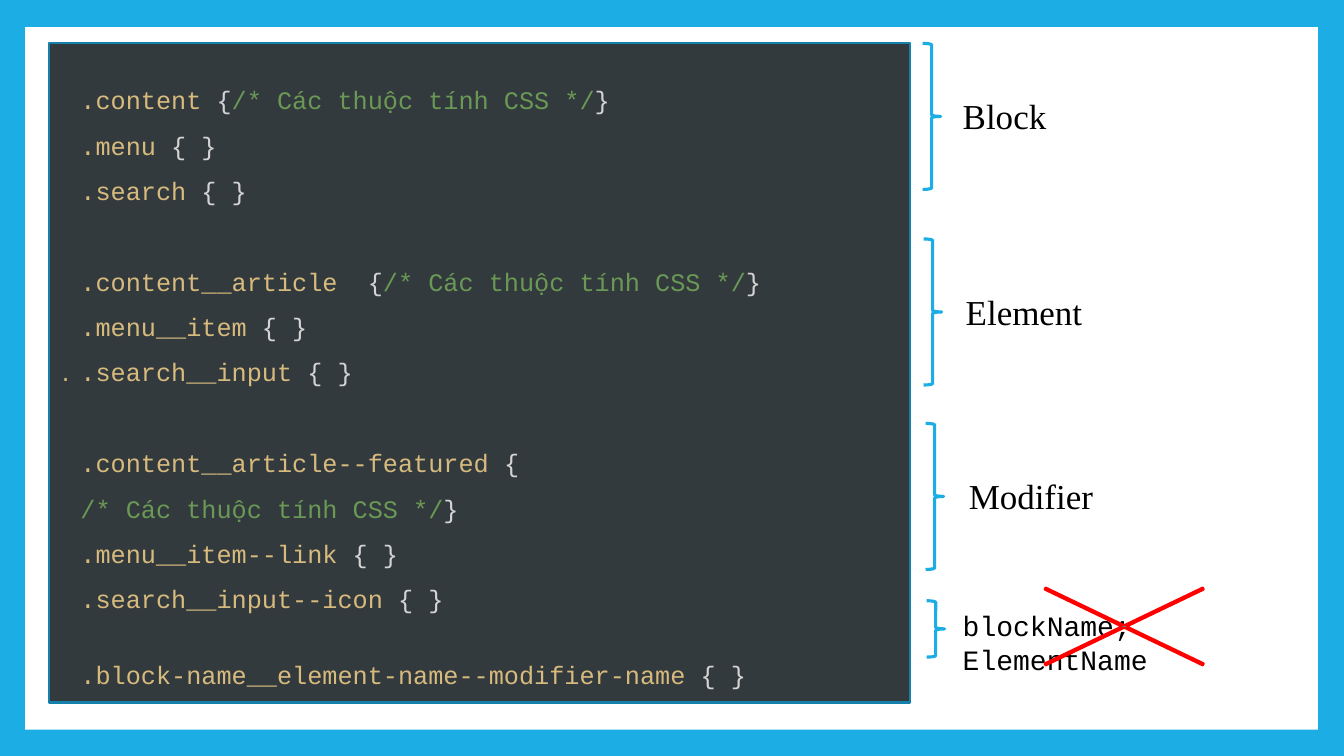
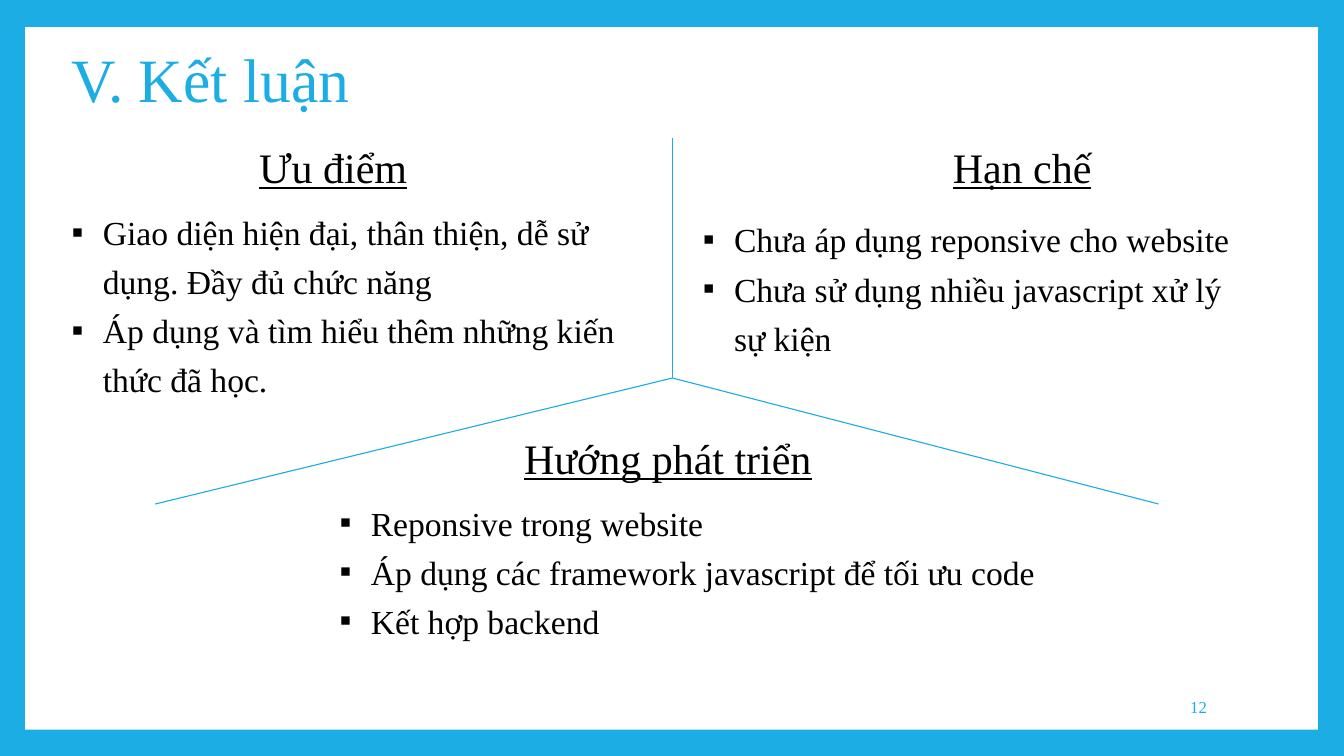
from dataclasses import dataclass

from lxml import etree
from pptx import Presentation
from pptx.dml.color import RGBColor
from pptx.enum.shapes import MSO_CONNECTOR, MSO_SHAPE
from pptx.enum.text import MSO_ANCHOR, MSO_AUTO_SIZE, PP_ALIGN
from pptx.oxml.ns import qn
from pptx.util import Inches, Pt

# Colours and fonts
BLUE = RGBColor(0x1C, 0xAD, 0xE4)
DARK_BLUE = RGBColor(0x15, 0x80, 0xA9)
WHITE = RGBColor(0xFF, 0xFF, 0xFF)
BLACK = RGBColor(0x00, 0x00, 0x00)
RED = RGBColor(0xFF, 0x00, 0x00)
EDITOR = RGBColor(0x33, 0x3A, 0x3E)
SELECTOR = RGBColor(0xD7, 0xBA, 0x7D)
PUNCTUATION = RGBColor(0xD4, 0xD4, 0xD4)
COMMENT = RGBColor(0x6A, 0x99, 0x55)
SERIF = "Times New Roman"
MONO = "Courier New"

COMMENT_TEXT = "/*\u00a0Các\u00a0thuộc\u00a0tính\u00a0CSS\u00a0*/"
BULLET = "▪"
BULLET_INDENT = Inches(0.31)
FRAME_FORMAT = {"word_wrap": True, "auto_size": MSO_AUTO_SIZE.NONE,
                "vertical_anchor": MSO_ANCHOR.TOP}
LIST_FORMAT = {"line_spacing": Pt(35), "space_before": Pt(0)}


@dataclass(frozen=True)
class Box:
    left: float
    top: float
    width: float
    height: float

    def lengths(self) -> tuple:
        return tuple(Inches(v) for v in (self.left, self.top, self.width, self.height))


@dataclass(frozen=True)
class Style:
    size: float
    color: RGBColor = BLACK
    name: str = SERIF
    underline: bool = False
    bold: bool = False


@dataclass(frozen=True)
class Span:
    text: str
    color: RGBColor


@dataclass(frozen=True)
class CodeLine:
    spans: tuple
    gap: float = 0
    spacing: float = 1.5


@dataclass(frozen=True)
class BracedPart:
    brace: Box
    label: str
    label_box: Box
    style: Style


@dataclass(frozen=True)
class Topic:
    heading: str
    heading_box: Box
    items: tuple
    items_box: Box
    placeholders: tuple = ()


TITLE = Style(44, BLUE)
HEADING = Style(30, underline=True)
LIST_ITEM = Style(24)
PART = Style(25)
PAGE_NUMBER = Style(12, BLUE)


def apply(target, values: dict) -> None:
    for attribute, value in values.items():
        setattr(target, attribute, value)


def write_run(paragraph, text: str, style: Style) -> None:
    run = paragraph.add_run()
    run.text = text
    apply(run.font, {"size": Pt(style.size), "name": style.name,
                     "underline": style.underline, "bold": style.bold})
    run.font.color.rgb = style.color


def place(slide, box: Box, placeholder=None):
    """Return the text frame of a moved placeholder or a new text box."""
    if placeholder is None:
        holder = slide.shapes.add_textbox(*box.lengths())
    else:
        holder = placeholder
        apply(holder, dict(zip(("left", "top", "width", "height"), box.lengths())))
    apply(holder.text_frame, FRAME_FORMAT)
    return holder.text_frame


def add_paragraph(frame, first: bool, align=PP_ALIGN.LEFT):
    paragraph = frame.paragraphs[0] if first else frame.add_paragraph()
    paragraph.alignment = align
    return paragraph


def write_text(slide, box: Box, text: str, style: Style, placeholder=None,
               align=PP_ALIGN.LEFT):
    frame = place(slide, box, placeholder)
    paragraph = add_paragraph(frame, True, align)
    paragraph.space_before = Pt(0)
    write_run(paragraph, text, style)
    return frame


def write_list(slide, box: Box, items: tuple, placeholder=None) -> None:
    frame = place(slide, box, placeholder)
    for number, item in enumerate(items):
        paragraph = add_paragraph(frame, number == 0)
        apply(paragraph, LIST_FORMAT)
        write_run(paragraph, item, LIST_ITEM)
        properties = paragraph._p.get_or_add_pPr()
        properties.set("marL", str(BULLET_INDENT))
        properties.set("indent", str(-BULLET_INDENT))
        etree.SubElement(properties, qn("a:buFont")).set("typeface", SERIF)
        etree.SubElement(properties, qn("a:buChar")).set("char", BULLET)


def draw_shape(slide, preset, box: Box, fill=None, line=None, weight: float = 1.5):
    shape = slide.shapes.add_shape(preset, *box.lengths())
    shape.shadow.inherit = False
    if fill is None:
        shape.fill.background()
    else:
        shape.fill.solid()
        shape.fill.fore_color.rgb = fill
    if line is None:
        shape.line.fill.background()
    else:
        shape.line.color.rgb = line
        shape.line.width = Pt(weight)
    return shape


def draw_line(slide, start: tuple, end: tuple) -> None:
    ends = [Inches(v) for v in (*start, *end)]
    line = slide.shapes.add_connector(MSO_CONNECTOR.STRAIGHT, *ends)
    line.line.color.rgb = BLUE
    line.line.width = Pt(0.79)
    etree.SubElement(line.element.spPr, qn("a:effectLst"))


def rule(selector: str, comment: str = "", space: str = "\u00a0") -> tuple:
    """Colour one CSS rule: selector, braces and an optional comment."""
    name = Span(selector, SELECTOR)
    if not comment:
        return name, Span(space + "{ }", PUNCTUATION)
    return (name, Span(space + "{", PUNCTUATION), Span(comment, COMMENT),
            Span("}", PUNCTUATION))


GROUP_GAP = 32.4
CODE = (
    CodeLine(rule(".content", COMMENT_TEXT)),
    CodeLine(rule(".menu")),
    CodeLine(rule(".search")),
    CodeLine(rule(".content__article", COMMENT_TEXT, "\u00a0 "), GROUP_GAP),
    CodeLine(rule(".menu__item")),
    CodeLine(rule(".search__input")),
    CodeLine((Span(".content__article--featured", SELECTOR),
              Span("\u00a0{", PUNCTUATION)), GROUP_GAP),
    CodeLine((Span(COMMENT_TEXT, COMMENT), Span("}", PUNCTUATION))),
    CodeLine(rule(".menu__item--link")),
    CodeLine(rule(".search__input--icon")),
    CodeLine(rule(".block-name__element-name--modifier-name"), GROUP_GAP, 1.0),
)

PARTS = (
    BracedPart(Box(9.15, 0.43, 0.18, 1.45), "Block", Box(9.45, 0.89, 1.22, 0.52), PART),
    BracedPart(Box(9.16, 2.37, 0.18, 1.45), "Element", Box(9.48, 2.83, 1.51, 0.52), PART),
    BracedPart(Box(9.18, 4.2, 0.18, 1.45), "Modifier", Box(9.51, 4.66, 1.51, 0.52), PART),
    BracedPart(Box(9.19, 5.96, 0.18, 0.56), "blockName; ElementName",
               Box(9.45, 5.99, 3.67, 0.44), Style(20, name=MONO)),
)

TOPICS = (
    Topic("Ưu điểm", Box(2.47, 1.35, 1.7, 0.61),
          ("Giao diện hiện đại, thân thiện, dễ sử dụng. Đầy đủ chức năng",
           "Áp dụng và tìm hiểu thêm những kiến thức đã học."),
          Box(0.61, 1.97, 6.06, 2.02), (1, 2)),
    Topic("Hạn chế", Box(9.35, 1.35, 1.7, 0.61),
          ("Chưa áp dụng reponsive cho website",
           "Chưa sử dụng nhiều javascript xử lý sự kiện"),
          Box(6.87, 2.04, 5.72, 1.53), (3, 4)),
    Topic("Hướng phát triển", Box(5.1, 4.24, 3.12, 0.61),
          ("Reponsive trong website",
           "Áp dụng các framework javascript để tối ưu code",
           "Kết hợp backend"),
          Box(3.27, 4.85, 7.2, 1.53)),
)


def set_master(prs, slide) -> None:
    """Give the master its blue frame and white panel."""
    master = prs.slide_master
    master.background.fill.solid()
    master.background.fill.fore_color.rgb = BLUE
    panel = draw_shape(slide, MSO_SHAPE.RECTANGLE, Box(0.25, 0.27, 12.82, 6.97), WHITE)
    panel.element.nvSpPr.cNvPr.set("id", "99")
    master.shapes.element.insert(2, panel.element)


def build_naming(slide) -> None:
    # Code editor
    editor = draw_shape(slide, MSO_SHAPE.RECTANGLE, Box(0.49, 0.43, 8.54, 6.54),
                        EDITOR, DARK_BLUE)
    write_run(add_paragraph(editor.text_frame, True), ".", Style(15, SELECTOR, MONO))
    code = place(slide, Box(0.7, 0.64, 8.33, 5.86))
    for number, line in enumerate(CODE):
        paragraph = add_paragraph(code, number == 0)
        apply(paragraph, {"line_spacing": line.spacing, "space_before": Pt(line.gap)})
        for span in line.spans:
            write_run(paragraph, span.text, Style(18, span.color, MONO))

    # Braces and their labels
    for part in PARTS:
        draw_shape(slide, MSO_SHAPE.RIGHT_BRACE, part.brace, line=BLUE, weight=2.25)
        write_text(slide, part.label_box, part.label, part.style)

    # Cross over the wrong names
    cross = draw_shape(slide, MSO_SHAPE.MATH_MULTIPLY, Box(9.64, 5.49, 3.02, 1.45),
                       BLUE, RED)
    cross.adjustments[0] = 0.015


def build_conclusion(slide) -> None:
    write_text(slide, Box(0.61, 0.36, 4.65, 0.84), "V. Kết luận", TITLE,
               slide.shapes.title)

    # Three topics
    for topic in TOPICS:
        heading, items = (slide.placeholders[i] for i in topic.placeholders) \
            if topic.placeholders else (None, None)
        write_text(slide, topic.heading_box, topic.heading, HEADING, heading)
        write_list(slide, topic.items_box, topic.items, items)

    # Dividers meeting in the centre
    centre = (6.67, 3.75)
    for end in ((6.67, 1.37), (11.49, 5), (1.54, 5)):
        draw_line(slide, centre, end)

    # Page number
    page = write_text(slide, Box(10.2, 6.81, 1.87, 0.4), "12", PAGE_NUMBER,
                      align=PP_ALIGN.RIGHT)
    page.vertical_anchor = MSO_ANCHOR.MIDDLE


def main() -> None:
    prs = Presentation()
    prs.slide_width, prs.slide_height = Inches(13.33), Inches(7.5)
    naming = prs.slides.add_slide(prs.slide_layouts.get_by_name("Blank"))
    set_master(prs, naming)
    build_naming(naming)
    build_conclusion(prs.slides.add_slide(prs.slide_layouts.get_by_name("Comparison")))
    prs.save("out.pptx")


if __name__ == "__main__":
    main()
